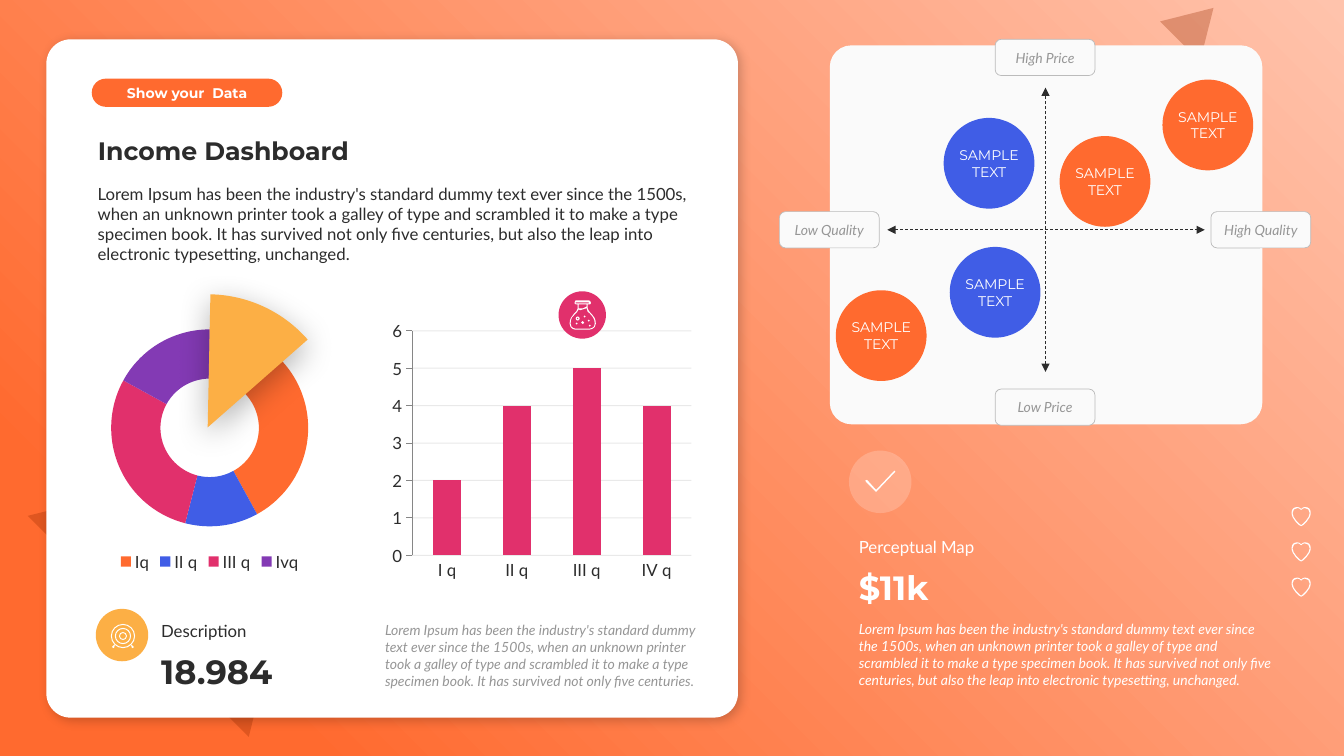
from typing import NamedTuple

from lxml import etree
from pptx import Presentation
from pptx.chart.data import CategoryChartData
from pptx.dml.color import RGBColor
from pptx.enum.chart import XL_CHART_TYPE as CHART, XL_LEGEND_POSITION as LEGEND, XL_TICK_MARK as TICK
from pptx.enum.dml import MSO_LINE
from pptx.enum.shapes import MSO_CONNECTOR, MSO_SHAPE as SHAPE
from pptx.enum.text import MSO_ANCHOR as ANCHOR, MSO_AUTO_SIZE as FIT, PP_ALIGN as ALIGN
from pptx.oxml import parse_xml
from pptx.oxml.ns import nsdecls, qn
from pptx.util import Pt

PX = 9144  # EMU per px, 100 px to the inch
ORANGE, BLUE, PINK, PURPLE, YELLOW = "FF6A2F", "405DE6", "E1306C", "833AB4", "FCAF45"
INK, GREY, WHITE, PALE, RUST = "2C2C2C", "969696", "FFFFFF", "FAFAFA", "972B00"
LOREM = ("Lorem Ipsum has been the industry's standard dummy text ever since the 1500s, when an unknown "
         "printer took a galley of type and scrambled it to make a type specimen book. "
         "It has survived not only five centuries")
LOREM_LONG = LOREM + ", but also the leap into electronic typesetting, unchanged."


class Box(NamedTuple):
    left: int
    top: int
    width: int
    height: int

    def inside(self, dx, dy, width, height):
        return Box(self.left + dx, self.top + dy, width, height)

    def emu(self):
        return [value * PX for value in self]


# Formatting helpers
def paint(fill, color):
    fill.solid()
    fill.fore_color.rgb = RGBColor.from_string(color)


def set_alpha(element, percent):
    for color in element.iter(qn("a:srgbClr")):
        etree.SubElement(color, qn("a:alpha"), val=str(percent * 1000))


def style_font(font, size, color, name="Lato", bold=False, italic=False):
    font.size, font.name, font.bold, font.italic = Pt(size), name, bold, italic
    paint(font.fill, color)


def write(frame, text, align=ALIGN.LEFT, anchor=ANCHOR.TOP, after=0, **font):
    frame.text, frame.word_wrap, frame.vertical_anchor = text, True, anchor
    paragraph = frame.paragraphs[0]
    paragraph.alignment, paragraph.space_after = align, Pt(after)
    style_font(paragraph.runs[0].font, **font)


def add_text(slide, box, text, **style):
    frame = slide.shapes.add_textbox(*box.emu()).text_frame
    write(frame, text, **style)
    frame.auto_size = FIT.SHAPE_TO_FIT_TEXT


def add_preset(slide, preset, box, color, alpha=None, border=None, adjust=(), rotation=0):
    shape = slide.shapes.add_shape(preset, *box.emu())
    shape.shadow.inherit, shape.rotation = False, rotation
    paint(shape.fill, color)
    if alpha:
        set_alpha(shape.element.spPr, alpha)
    if border:
        paint(shape.line.fill, border)
        shape.line.width = Pt(0.5)
    else:
        shape.line.fill.background()
    for index, value in enumerate(adjust):
        shape.adjustments[index] = value
    return shape


def cast_shadow(shape, alpha, blur, distance, angle):
    shape.element.spPr.find(qn("a:effectLst")).append(parse_xml(
        f'<a:outerShdw {nsdecls("a")} blurRad="{Pt(blur)}" dist="{Pt(distance)}" dir="{angle * 60000}" '
        f'algn="ctr" rotWithShape="0"><a:srgbClr val="000000"><a:alpha val="{alpha * 1000}"/>'
        '</a:srgbClr></a:outerShdw>'))


# Icons: contours of points and six-number Bezier steps, in px from the icon's corner
def disc(x, y, r):
    k = 0.55 * r
    return [(x + r, y), (x + r, y + k, x + k, y + r, x, y + r), (x - k, y + r, x - r, y + k, x - r, y),
            (x - r, y - k, x - k, y - r, x, y - r), (x + k, y - r, x + r, y - k, x + r, y)]


def ring(x, y, radius):
    return [disc(x, y, radius), disc(x, y, radius - 1)]


TARGET = [*ring(12, 12, 12), *ring(12, 12, 8), *ring(12, 12, 4),
          [(3, 21), (1, 23), (3, 24), (4, 21)], [(21, 21), (23, 23), (21, 24), (20, 21)]]
FLASK = [
    [(18, 8), (18, 4), (19, 4), (20, 4, 21, 4, 21, 3), (21, 2), (21, 1, 20, 0, 19, 0), (6, 0),
     (6, 0, 5, 1, 5, 2), (5, 3), (5, 4, 6, 4, 6, 4), (8, 4), (8, 8), (8, 12, 0, 14, 0, 23),
     (0, 29, 6, 29, 6, 29), (19, 29), (19, 29, 26, 29, 26, 23), (26, 14, 18, 12, 18, 8)],
    [(6, 2), (19, 2), (19, 3), (6, 3)],
    [(17, 4), (17, 6), (16, 7, 14, 7, 13, 8), (11, 8, 10, 8, 9, 8), (9, 4)],
    [(19, 28), (6, 28), (6, 28, 1, 28, 1, 23), (1, 18, 3, 15, 6, 13), (7, 12, 8, 11, 9, 9),
     (10, 10, 11, 10, 13, 9), (15, 8, 16, 8, 17, 8), (17, 10, 18, 12, 20, 13),
     (22, 15, 25, 18, 25, 23), (25, 28, 20, 28, 19, 28)],
    *ring(8, 18, 2), disc(7, 23, 1), disc(20, 25, 1), disc(19, 20, 1), disc(15, 16, 1), disc(13, 22, 1.5)]
CHECK = [[(30, 1), (29, 0), (11, 19), (2, 9), (0, 10), (11, 21)]]
HEART = [
    [(19, 6), (19, 2, 17, 0, 13, 0), (12, 0, 10, 1, 9.5, 2), (9, 1, 7, 0, 6, 0), (2, 0, 0, 2, 0, 6),
     (0, 12, 8, 19, 9.5, 19), (11, 19, 19, 12, 19, 6)],
    [(18, 6), (18, 3, 16, 1, 13, 1), (12, 1, 10, 2, 9.5, 3), (9, 2, 7, 1, 6, 1), (3, 1, 1, 3, 1, 6),
     (1, 11, 8, 17, 9.5, 18), (11, 17, 18, 11, 18, 6)]]


def add_icon(slide, left, top, contours):
    def place(point):
        return (left + point[0]) * PX, (top + point[1]) * PX

    builder = slide.shapes.build_freeform(*place(contours[0][0]))
    for index, (start, *steps) in enumerate(contours):
        if index:
            builder.move_to(*place(start))
        builder.add_line_segments([place(step[-2:]) for step in steps], close=True)
    icon = builder.convert_to_shape()
    icon.shadow.inherit = False
    paint(icon.fill, WHITE)
    icon.line.fill.background()
    all_steps = [step for contour in contours for step in contour[1:]]
    for step, segment in zip(all_steps, list(icon.element.iter(qn("a:lnTo")))):
        if len(step) == 6:
            bend = etree.Element(qn("a:cubicBezTo"))
            for n in (0, 2, 4):
                x, y = place(step[n:n + 2])
                etree.SubElement(bend, qn("a:pt"), x=str(round(x - icon.left)), y=str(round(y - icon.top)))
            segment.getparent().replace(segment, bend)


# Charts
def add_chart(slide, kind, box, categories, values, size):
    data = CategoryChartData()
    data.categories = categories
    data.add_series("Series 1", values)
    chart = slide.shapes.add_chart(kind, *box.emu(), data).chart
    chart.has_title = chart.has_legend = False
    style_font(chart.font, size, INK)
    return chart


def quarter_doughnut(slide, box):
    chart = add_chart(slide, CHART.DOUGHNUT, box, ["Iq", "II q", "III q", "Ivq"], [42, 12, 29, 17], 10)
    chart.has_legend = True
    chart.legend.position, chart.legend.include_in_layout = LEGEND.BOTTOM, False
    style_font(chart.legend.font, 12, INK)
    for index, color in enumerate([ORANGE, BLUE, PINK, PURPLE]):
        sector = chart.plots[0].series[0].points[index].format
        paint(sector.fill, color)
        sector.line.fill.background()


def quarter_columns(slide, box):
    chart = add_chart(slide, CHART.COLUMN_CLUSTERED, box, ["I q", "II q", "III q", "IV q"], [2, 4, 5, 4], 12)
    plot, quarters, scale = chart.plots[0], chart.category_axis, chart.value_axis
    plot.gap_width, plot.vary_by_categories = 150, False
    paint(plot.series[0].format.fill, PINK)
    quarters.major_tick_mark = TICK.NONE
    quarters.format.line.fill.background()
    scale.minimum_scale, scale.maximum_scale, scale.major_unit = 0, 6, 1
    scale.major_tick_mark = TICK.OUTSIDE
    paint(scale.format.line.fill, "868686")
    grid = scale.major_gridlines.format.line
    paint(grid.fill, INK)
    grid.width = Pt(0.75)
    set_alpha(next(chart.element.iter(qn("c:majorGridlines"))), 10)


# Regions
def backdrop(slide, master, box):
    panel = add_preset(slide, SHAPE.RECTANGLE, box, ORANGE)
    solid = panel.element.spPr.find(qn("a:solidFill"))
    solid.getparent().replace(solid, parse_xml(
        f'<a:gradFill {nsdecls("a")} rotWithShape="1"><a:gsLst><a:gs pos="0"><a:srgbClr val="FFC3AC"/></a:gs>'
        f'<a:gs pos="85000"><a:srgbClr val="{ORANGE}"/></a:gs></a:gsLst>'
        '<a:path path="circle"><a:fillToRect l="100000" b="100000"/></a:path></a:gradFill>'))
    corners = [add_preset(slide, SHAPE.ISOSCELES_TRIANGLE, box.inside(*place), RUST, alpha=30, rotation=45)
               for place in [(73, 402, 310, 257), (1159, 1, 56, 47)]]
    # The backdrop belongs to the master, behind its placeholders
    first = master.placeholders[0].element
    for number, shape in enumerate([panel, *corners]):
        shape.element.nvSpPr.cNvPr.set("id", str(101 + number))
        first.addprevious(shape.element)


def income_card(slide, box):
    card = add_preset(slide, SHAPE.ROUNDED_RECTANGLE, box, WHITE, adjust=[0.036])
    cast_shadow(card, 20, 8, 3, 45)
    pill = add_preset(slide, SHAPE.ROUNDED_RECTANGLE, box.inside(45, 39, 189, 28), ORANGE, adjust=[0.5])
    write(pill.text_frame, "Show your  Data", ALIGN.CENTER, ANCHOR.MIDDLE,
          size=10, color=WHITE, name="Montserrat", bold=True)
    title = slide.shapes.title
    title.element.getparent().append(title.element)  # bring in front of the card
    title.left, title.top, title.width, title.height = box.inside(41, 90, 616, 40).emu()
    write(title.text_frame, "Income Dashboard", anchor=ANCHOR.BOTTOM,
          size=18, color=INK, name="Montserrat", bold=True)
    title.text_frame.auto_size = FIT.NONE
    add_text(slide, box.inside(41, 138, 616, 91), LOREM_LONG, after=6, size=12, color=INK)

    quarter_doughnut(slide, box.inside(20, 274, 284, 258))
    wedge = add_preset(slide, SHAPE.ARC, box.inside(28, 253, 264, 264), YELLOW, adjust=[162.715, 191.224])
    cast_shadow(wedge, 30, 23, 6, 90)
    quarter_columns(slide, box.inside(337, 274, 309, 267))
    add_preset(slide, SHAPE.OVAL, box.inside(508, 250, 47, 47), PINK)
    add_icon(slide, box.left + 519, box.top + 259, FLASK)

    add_preset(slide, SHAPE.OVAL, box.inside(49, 565, 52, 52), YELLOW)
    add_icon(slide, box.left + 64, box.top + 580, TARGET)
    figure(slide, box.inside(104, 572, 186, 80), "Description", "18.984", INK)
    add_text(slide, box.inside(326, 573, 332, 77), LOREM + ".", after=6, size=10, color=GREY, italic=True)


def figure(slide, box, caption, amount, color):
    add_text(slide, box.inside(0, 0, box.width, 30), caption, anchor=ANCHOR.BOTTOM, size=12, color=color)
    add_text(slide, box.inside(0, 30, box.width, 50), amount, anchor=ANCHOR.BOTTOM,
             size=24, color=color, name="Montserrat", bold=True)


def add_axis(slide, box, start, end):
    ends = [(base + offset) * PX for point in (start, end) for base, offset in zip(box[:2], point)]
    axis = slide.shapes.add_connector(MSO_CONNECTOR.STRAIGHT, *ends)
    paint(axis.line.fill, INK)
    axis.line.width, axis.line.dash_style = Pt(0.5), MSO_LINE.DASH
    for tip in ("a:headEnd", "a:tailEnd"):
        etree.SubElement(axis.element.spPr.find(qn("a:ln")), qn(tip), type="triangle")
    etree.SubElement(axis.element.spPr, qn("a:effectLst"))


def perceptual_map(slide, box):
    add_preset(slide, SHAPE.ROUNDED_RECTANGLE, box, PALE, adjust=[0.057])
    add_axis(slide, box, (57, 183), (372, 183))
    add_axis(slide, box, (214, 324), (214, 42))
    for label, dx, dy in [("High Price", 164, -6), ("Low Price", 164, 341),
                          ("Low Quality", -50, 165), ("High Quality", 378, 165)]:
        tag = add_preset(slide, SHAPE.ROUNDED_RECTANGLE, box.inside(dx, dy, 99, 36), PALE, border="BBBBBB")
        write(tag.text_frame, label, ALIGN.CENTER, ANCHOR.MIDDLE, size=10, color=GREY, italic=True)
    for dx, dy, color in [(113, 72, BLUE), (119, 200, BLUE), (6, 243, ORANGE),
                          (228, 90, ORANGE), (330, 34, ORANGE)]:
        bubble = add_preset(slide, SHAPE.OVAL, box.inside(dx, dy, 90, 90), color)
        bubble.text_frame.margin_left = bubble.text_frame.margin_right = 0
        write(bubble.text_frame, "SAMPLE TEXT", ALIGN.CENTER, ANCHOR.MIDDLE,
              size=10, color=WHITE, name="Montserrat")


def map_summary(slide, box):
    add_preset(slide, SHAPE.OVAL, box.inside(0, 0, 62, 62), WHITE, alpha=20)
    add_icon(slide, box.left + 16, box.top + 20, CHECK)
    figure(slide, box.inside(0, 80, box.width, 80), "Perceptual Map", "$11k", WHITE)
    add_text(slide, box.inside(0, 164, box.width, 77), LOREM_LONG, after=6, size=10, color=WHITE, italic=True)
    for row in range(3):
        add_icon(slide, box.left + 439, box.top + 56 + 35 * row, HEART)


def main():
    deck = Presentation()
    page = Box(0, 0, 1333, 750)
    deck.slide_width, deck.slide_height = page.width * PX, page.height * PX
    slide = deck.slides.add_slide(deck.slide_layouts[5])
    backdrop(slide, deck.slide_master, page)
    income_card(slide, Box(46, 39, 686, 673))
    perceptual_map(slide, Box(823, 45, 429, 376))
    map_summary(slide, Box(842, 447, 434, 241))
    deck.save("out.pptx")


if __name__ == "__main__":
    main()
